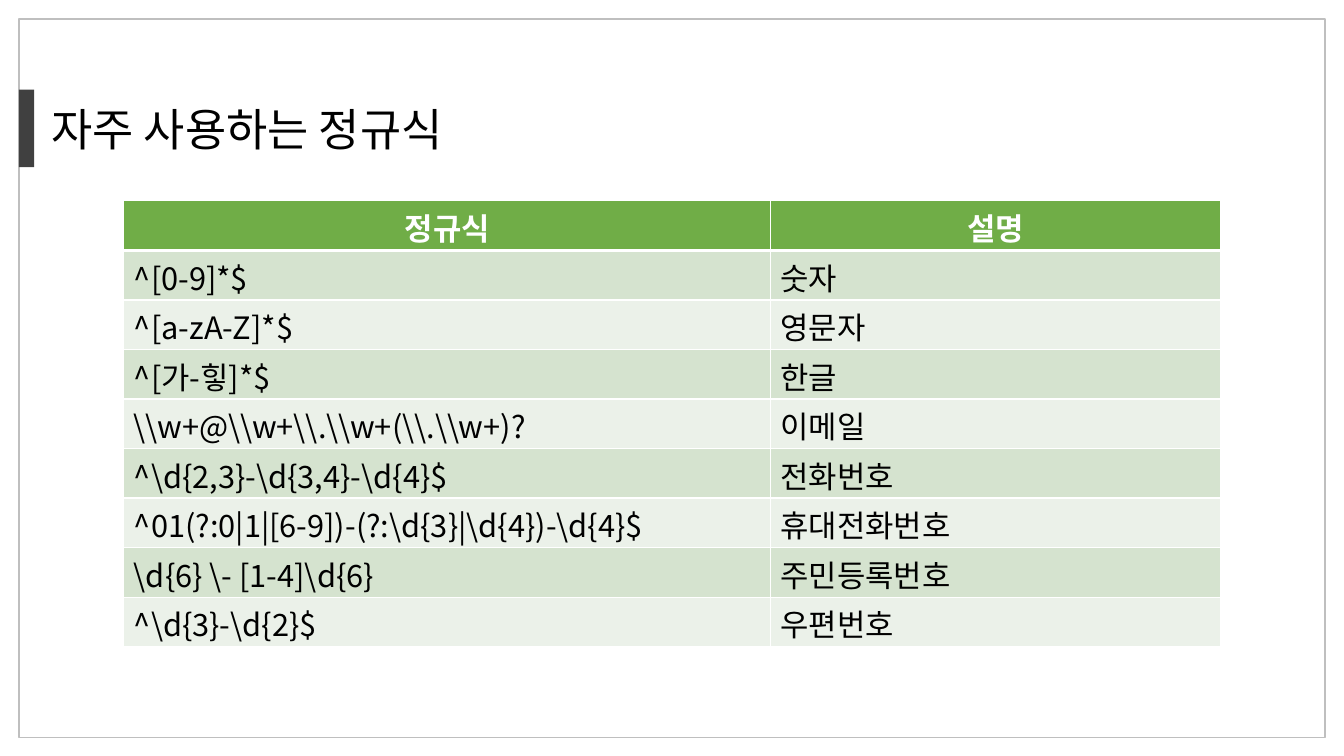
"""Build a slide with a table of frequently used regular expressions."""
from lxml import etree
from pptx import Presentation
from pptx.dml.color import RGBColor
from pptx.enum import shapes, text
from pptx.oxml import ns
from pptx.util import Pt

TITLE = "자주 사용하는 정규식"
ROWS = [
    ("정규식", "설명"),
    ("^[0-9]*$", "숫자"),
    ("^[a-zA-Z]*$", "영문자"),
    ("^[가-힣]*$", "한글"),
    (r"\\w+@\\w+\\.\\w+(\\.\\w+)?", "이메일"),
    (r"^\d{2,3}-\d{3,4}-\d{4}$", "전화번호"),
    (r"^01(?:0|1|[6-9])-(?:\d{3}|\d{4})-\d{4}$", "휴대전화번호"),
    (r"\d{6} \- [1-4]\d{6}", "주민등록번호"),
    (r"^\d{3}-\d{2}$", "우편번호"),
]

FONT = "Noto Sans CJK KR"
BLACK = RGBColor(0, 0, 0)
WHITE = RGBColor(0xFF, 0xFF, 0xFF)
GREY = RGBColor(0xBF, 0xBF, 0xBF)
CHARCOAL = RGBColor(0x40, 0x40, 0x40)
GREEN = RGBColor(0x70, 0xAD, 0x47)
BANDS = (RGBColor(0xEB, 0xF1, 0xE9), RGBColor(0xD5, 0xE3, 0xCF))

SLIDE_SIZE = (960, 540)
FRAME = (13.5, 13.5, 933, 513.5)
ACCENT = (13.5, 64, 11, 55.5)
TITLE_BOX = (29.5, 68.5, 382.5, 46)
TABLE_LEFT, TABLE_TOP, ROW_HEIGHT = 88.5, 143.5, 35.4
COLUMN_WIDTHS = (462, 321.5)
TITLE_FORMAT = {"margin_top": 0, "margin_bottom": 0, "word_wrap": True,
                "auto_size": text.MSO_AUTO_SIZE.NONE,
                "vertical_anchor": text.MSO_ANCHOR.MIDDLE}
CELL_FORMAT = {"margin_top": Pt(3), "margin_bottom": 0,
               "vertical_anchor": text.MSO_ANCHOR.TOP}


def set_format(target, values):
    for name, value in values.items():
        setattr(target, name, value)


def write(para, words, size, color, bold, align):
    para.alignment = align
    span = para.add_run()
    span.text = words
    set_format(span.font, {"name": FONT, "size": Pt(size), "bold": bold})
    span.font.color.rgb = color
    east_asian = etree.SubElement(span.font._element, ns.qn("a:ea"))
    east_asian.set("typeface", FONT)
    return span


def make_line(tag, width, color, alpha=100):
    line = etree.Element(ns.qn(tag), w=str(Pt(width)))
    fill = etree.SubElement(line, ns.qn("a:solidFill"))
    shade = etree.SubElement(fill, ns.qn("a:srgbClr"), val=str(color))
    if alpha < 100:
        etree.SubElement(shade, ns.qn("a:alpha"), val=str(alpha * 1000))
    return line


def add_box(page, place, fill=None, line=None):
    box = page.shapes.add_shape(shapes.MSO_SHAPE.RECTANGLE, *map(Pt, place))
    box.shadow.inherit = False
    for part, color in ((box.fill, fill), (box.line.fill, line)):
        if color is None:
            part.background()
        else:
            part.solid()
            part.fore_color.rgb = color
    box.line.width = Pt(1)


def add_title(page):
    title = page.shapes.title
    title.left, title.top, title.width, title.height = map(Pt, TITLE_BOX)
    set_format(title.text_frame, TITLE_FORMAT)
    span = write(title.text_frame.paragraphs[0], TITLE, 32, BLACK, False,
                 text.PP_ALIGN.LEFT)
    span.font._element.insert(0, make_line("a:ln", 0.75, BLACK, 50))


def style_cell(cell, row, words):
    header = row == 0
    set_format(cell, CELL_FORMAT)
    write(cell.text_frame.paragraphs[0], words, 22, WHITE if header else BLACK,
          header, text.PP_ALIGN.CENTER if header else text.PP_ALIGN.LEFT)
    cell.fill.solid()
    cell.fill.fore_color.rgb = GREEN if header else BANDS[row % 2]
    widths = {"L": 1, "R": 1, "T": 3 if row == 1 else 1, "B": 3 if header else 1}
    for index, (side, width) in enumerate(widths.items()):
        border = make_line(f"a:ln{side}", width, WHITE)
        cell._tc.get_or_add_tcPr().insert(index, border)


def add_regex_table(page):
    table = page.shapes.add_table(
        len(ROWS), len(COLUMN_WIDTHS), Pt(TABLE_LEFT), Pt(TABLE_TOP),
        Pt(sum(COLUMN_WIDTHS)), Pt(ROW_HEIGHT * len(ROWS))).table
    for column, width in zip(table.columns, COLUMN_WIDTHS):
        column.width = Pt(width)
    for row, entries in enumerate(ROWS):
        table.rows[row].height = Pt(ROW_HEIGHT)
        for column, words in enumerate(entries):
            style_cell(table.cell(row, column), row, words)


def main():
    deck = Presentation()
    deck.slide_width, deck.slide_height = map(Pt, SLIDE_SIZE)
    page = deck.slides.add_slide(deck.slide_layouts[5])
    add_box(page, FRAME, line=GREY)
    add_box(page, ACCENT, fill=CHARCOAL)
    add_title(page)
    add_regex_table(page)
    deck.save("out.pptx")


if __name__ == "__main__":
    main()
